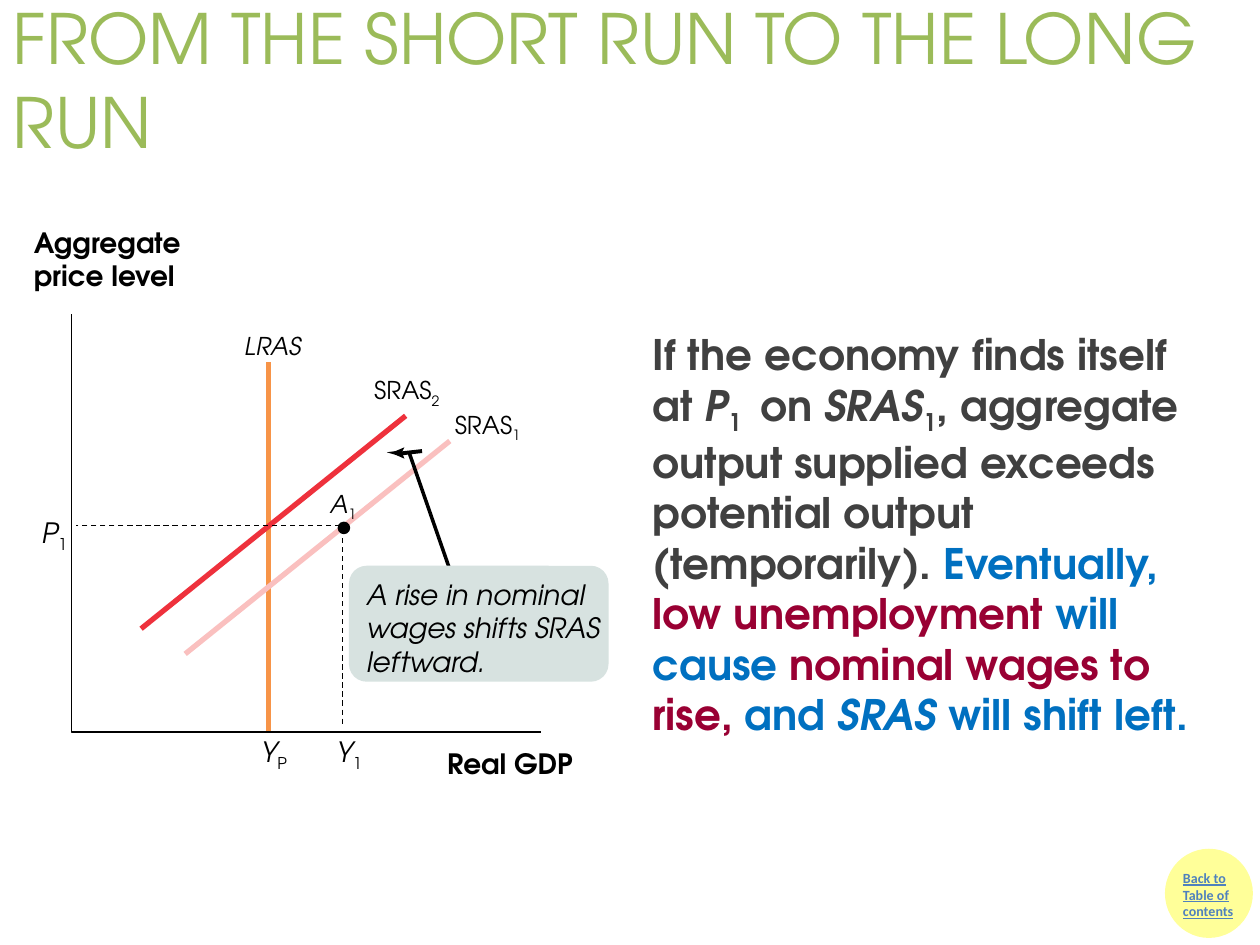
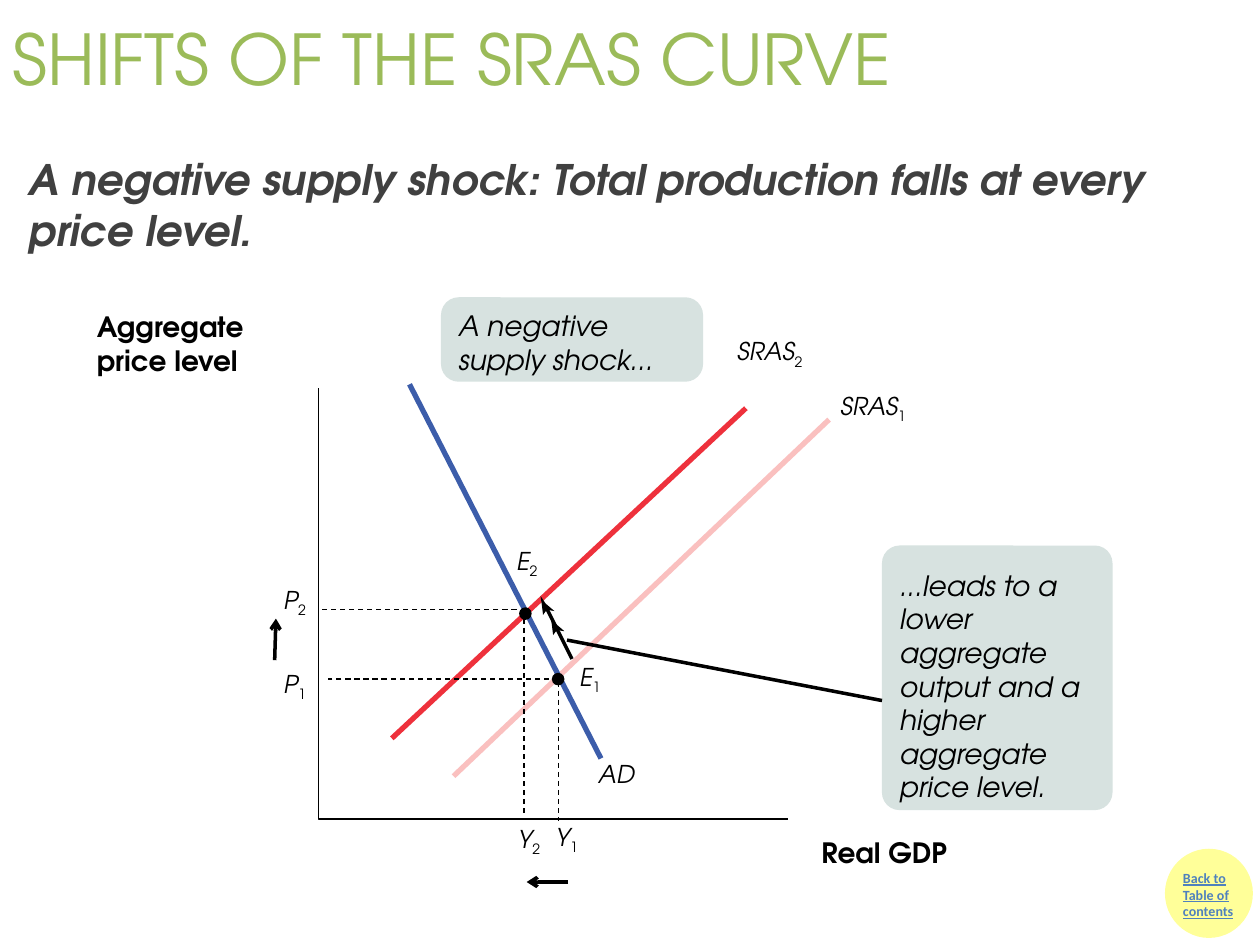
from dataclasses import dataclass

from lxml import etree
from pptx import Presentation
from pptx.dml.color import RGBColor
from pptx.enum.dml import MSO_LINE
from pptx.enum.shapes import MSO_CONNECTOR, MSO_SHAPE
from pptx.enum.text import MSO_ANCHOR, MSO_AUTO_SIZE, PP_ALIGN
from pptx.oxml.ns import qn
from pptx.util import Inches, Pt

DASH = MSO_LINE.DASH
STRAIGHT = MSO_CONNECTOR.STRAIGHT
OVAL, ROUNDED = MSO_SHAPE.OVAL, MSO_SHAPE.ROUNDED_RECTANGLE
TOP, MIDDLE = MSO_ANCHOR.TOP, MSO_ANCHOR.MIDDLE
LEFT = PP_ALIGN.LEFT
NO_AUTOFIT = MSO_AUTO_SIZE.NONE
TITLE_ONLY = 5


@dataclass(frozen=True)
class Theme:
    font: str = "TeX Gyre Adventor"
    button_font: str = "Calibri"
    title: str = "9BBB59"
    body: str = "404040"
    ink: str = "000000"
    blue: str = "0070C0"
    crimson: str = "990033"
    lras: str = "F79448"
    sras_old: str = "FAC0BF"
    sras_new: str = "EE313C"
    demand: str = "3C5DAA"
    callout: str = "D7E2E0"
    button: str = "FFFF99"
    link: str = "4F81BD"
    body_size: float = 24
    note_size: float = 16
    label_size: float = 14
    button_size: float = 8
    hairline: float = 0
    dashed: float = 0.75
    arrow: float = 2.25
    curve: float = 3


T = Theme()


# ---- Text ----
def add_run(p, text, base=0, **formats):
    """Add a run; base is the subscript offset in percent."""
    r = p.add_run()
    r.text = text
    color = formats.pop("color", T.ink)
    for name, value in {"name": T.font, **formats}.items():
        setattr(r.font, name, value)
    r.font.color.rgb = RGBColor.from_string(color)
    if base:
        r.font._element.set("baseline", str(base * 1000))


def fill_text(tf, paragraphs, margins=(0.1, 0.05, 0.1, 0.05), anchor=TOP, **formats):
    """Each paragraph is a list of (text, formats) runs."""
    left, top, right, bottom = map(Inches, margins)
    frame = {"word_wrap": True, "auto_size": NO_AUTOFIT, "vertical_anchor": anchor,
             "margin_left": left, "margin_top": top,
             "margin_right": right, "margin_bottom": bottom}
    for name, value in frame.items():
        setattr(tf, name, value)
    for i, runs in enumerate(paragraphs):
        p = tf.add_paragraph() if i else tf.paragraphs[0]
        p.alignment = LEFT
        for text, extra in runs:
            add_run(p, text, **{**formats, **extra})


def add_text(slide, box, runs, **formats):
    s = slide.shapes.add_textbox(*map(Inches, box))
    fill_text(s.text_frame, [runs], **formats)


# ---- Shapes ----
def paint(s, fill, line=None, width=0):
    s.shadow.inherit = False
    s.fill.solid()
    s.fill.fore_color.rgb = RGBColor.from_string(fill)
    if line:
        s.line.color.rgb = RGBColor.from_string(line)
        s.line.width = Pt(width)
    else:
        s.line.fill.background()


class Graph:
    """A diagram whose parts are placed from the top left of its axes box."""

    def __init__(self, slide, box):
        self.slide = slide
        self.left, self.top, self.width, self.height = box

    def at(self, x, y):
        return Inches(self.left + x), Inches(self.top + y)

    def line(self, start, end, color=T.ink, width=T.hairline, dash=None, head=False):
        s = self.slide.shapes.add_connector(STRAIGHT, *self.at(*start), *self.at(*end))
        s.line.color.rgb = RGBColor.from_string(color)
        s.line.width = Pt(width)
        if dash:
            s.line.dash_style = dash
        if head:
            etree.SubElement(s.line._get_or_add_ln(), qn("a:tailEnd"), type="arrow")
        etree.SubElement(s._element.spPr, qn("a:effectLst"))

    def outline(self, points, close):
        first, *rest = [self.at(*point) for point in points]
        builder = self.slide.shapes.build_freeform(*first)
        builder.add_line_segments(rest, close=close)
        s = builder.convert_to_shape()
        s.shadow.inherit = False
        return s

    def axes(self, price_title, gdp_title):
        s = self.outline([(self.width, self.height), (0, self.height), (0, 0)], False)
        s.fill.background()
        s.line.color.rgb = RGBColor.from_string(T.ink)
        s.line.width = Pt(T.hairline)
        for text, (x, y), w, h in (("Aggregate price level", price_title, 1.8, 0.64),
                                   ("Real GDP", gdp_title, 1.58, 0.37)):
            add_text(self.slide, (self.left + x, self.top + y, w, h), [(text, {})],
                     size=Pt(T.note_size), bold=True)

    def arrowhead(self, points, dx=0, dy=0):
        paint(self.outline([(x + dx, y + dy) for x, y in points], True), T.ink)

    def dot(self, x, y, size=0.1):
        corner = self.at(x - size / 2, y - size / 2)
        paint(self.slide.shapes.add_shape(OVAL, *corner, Inches(size), Inches(size)), T.ink)

    def label(self, text, x, y, w, size=T.label_size, italic=True):
        """An underscore in the text starts the subscript."""
        name, _, sub = text.partition("_")
        runs = [(name, {"italic": italic})]
        if sub:
            runs.append((sub, {"base": -25}))
        add_text(self.slide, (self.left + x, self.top + y, w, size / 60), runs,
                 margins=(0, 0, 0, 0), size=Pt(size))

    def callout(self, lines, x, y, w, h, radius=0.14, top=0.05, right=0.1):
        s = self.slide.shapes.add_shape(ROUNDED, *self.at(x, y), Inches(w), Inches(h))
        s.adjustments[0] = radius / min(w, h)
        paint(s, T.callout)
        fill_text(s.text_frame, [[(line, {})] for line in lines],
                  margins=(0.1, top, right, 0), size=Pt(T.note_size), italic=True)


# ---- Parts shared by the slides ----
def add_contents_button(slide, left, top):
    s = slide.shapes.add_shape(OVAL, *map(Inches, (left, top, 0.67, 0.68)))
    paint(s, T.button, T.button, 2)
    add_text(slide, (left + 0.03, top + 0.1, 0.72, 0.67),
             [("Back to Table of contents", {})], name=T.button_font,
             size=Pt(T.button_size), bold=True, underline=True, color=T.link)


def start_slide(prs, title, title_height, title_size):
    slide = prs.slides.add_slide(prs.slide_layouts[TITLE_ONLY])
    s = slide.shapes.title
    s.left, s.top, s.width, s.height = map(Inches, (0, 0, 10, title_height))
    fill_text(s.text_frame, [[(title, {})]], anchor=MIDDLE,
              size=Pt(title_size), color=T.title)
    add_contents_button(slide, 9.26, 6.75)
    return slide


# ---- Slide 1: wages shift the supply curve ----
def draw_long_run_graph(slide, box):
    g = Graph(slide, box)
    for text, x, y in (("Y_1", 2.1, 3.34), ("Y_P", 1.5, 3.34), ("P_1", -0.24, 1.6)):
        g.label(text, x, y, 0.23, T.note_size)
    g.label("LRAS", 1.37, 0.14, 0.48)
    g.label("SRAS_1", 3.04, 0.76, 0.9, italic=False)
    g.label("SRAS_2", 2.4, 0.49, 0.9, italic=False)

    # Curves and axes
    g.line((1.56, g.height), (1.56, 0.38), T.lras, T.curve)
    g.line((0.9, 2.7), (3, 1.01), T.sras_old, T.curve)
    g.axes((-0.4, -0.75), (2.88, 3.39))
    g.line((0.55, 2.5), (2.65, 0.81), T.sras_new, T.curve)

    # Shift arrow with its callout
    g.line((2.78, 1.09), (2.6, 1.11), width=T.arrow)
    g.arrowhead([(2.62, 1.1), (2.64, 1.06), (2.57, 1.09),
                 (2.5, 1.1), (2.57, 1.12), (2.64, 1.15)])
    g.line((3, 2.03), (2.68, 1.11))
    g.callout(["A rise in nominal", "wages shifts SRAS", "leftward."],
              2.2, 2, 2.06, 0.92, right=0.01)

    # Point A1 and its guides
    g.dot(2.16, 1.7)
    g.line((2.13, 1.68), (0.03, 1.68), width=T.dashed, dash=DASH)
    g.line((2.15, 1.78), (2.15, 3.28), width=T.dashed, dash=DASH)
    g.label("A_1", 2.05, 1.39, 0.33)


def add_explanation(slide, box):
    italic, sub = {"italic": True}, {"base": -25}
    blue, crimson = {"color": T.blue}, {"color": T.crimson}
    add_text(slide, box, [
        ("If the economy finds itself at ", {}), ("P", italic), ("1 ", sub),
        (" on ", {}), ("SRAS", italic), ("1", sub),
        (", aggregate output supplied exceeds potential output (temporarily). ", {}),
        ("Eventually, ", blue), ("low unemployment ", crimson), ("will cause ", blue),
        ("nominal wages to rise,", crimson), (" and ", blue),
        ("SRAS", {**blue, **italic}), (" will shift left.", blue),
    ], size=Pt(T.body_size), bold=True, color=T.body)


def build_long_run_slide(prs):
    slide = start_slide(prs, "FROM THE SHORT RUN TO THE LONG RUN", 1.25, 39.6)
    draw_long_run_graph(slide, (0.57, 2.49, 3.72, 3.32))
    add_explanation(slide, (5.08, 2.56, 4.69, 3.33))


# ---- Slide 2: negative supply shock ----
def draw_supply_shock_graph(slide, box):
    g = Graph(slide, box)

    # Curves and axes
    g.line((1.07, 3.08), (4.05, 0.25), T.sras_old, T.curve)
    g.line((2.24, 2.94), (0.72, -0.03), T.demand, T.curve)
    g.axes((-1.86, -0.67), (3.89, 3.5))
    g.line((0.58, 2.78), (3.39, 0.16), T.sras_new, T.curve)

    # Guides and equilibrium points
    for start, end in (((1.9, 2.33), (1.9, 3.44)), ((1.9, 2.31), (0.07, 2.31)),
                       ((1.63, 1.83), (1.63, 3.4)), ((1.57, 1.76), (0.02, 1.76))):
        g.line(start, end, width=T.dashed, dash=DASH)
    g.dot(1.9, 2.31)
    g.dot(1.64, 1.79)

    # Labels
    for text, x, y, w in (
            ("P_1", -0.28, 2.23, 0.22), ("P_2", -0.28, 1.56, 0.22),
            ("Y_1", 1.88, 3.44, 0.22), ("Y_2", 1.58, 3.46, 0.22),
            ("E_1", 2.07, 2.17, 0.21), ("E_2", 1.57, 1.25, 0.21),
            ("AD", 2.22, 2.94, 0.33),
            ("SRAS_1", 4.14, 0.02, 0.82), ("SRAS_2", 3.32, -0.41, 0.82)):
        g.label(text, x, y, w)

    # Arrows: output falls, price rises, equilibrium moves
    g.line((1.98, 3.92), (1.65, 3.92), head=True)
    g.line((-0.35, 2.16), (-0.34, 1.83), head=True)
    g.line((2.01, 2.15), (1.81, 1.75))
    for dx, dy in ((0, 0), (0.08, 0.16)):
        g.arrowhead([(1.81, 1.76), (1.78, 1.8), (1.77, 1.72),
                     (1.76, 1.65), (1.8, 1.71), (1.87, 1.77)], dx, dy)

    # Callouts
    g.callout(["A negative supply shock..."], 0.97, -0.72, 2.08, 0.67)
    g.callout(["...leads to a lower aggregate output and a higher aggregate price level."],
              4.47, 1.25, 1.83, 2.1, top=0.14, right=0.01)
    g.line((4.47, 2.48), (1.97, 2))


def build_supply_shock_slide(prs):
    slide = start_slide(prs, "SHIFTS OF THE SRAS CURVE", 0.92, 40)
    draw_supply_shock_graph(slide, (2.53, 3.08, 3.72, 3.42))
    add_text(slide, (0.13, 1.17, 9.79, 0.91),
             [("A negative supply shock: Total production falls at every price level.", {})],
             size=Pt(T.body_size), bold=True, italic=True, color=T.body)


def main():
    prs = Presentation()
    prs.slide_width, prs.slide_height = Inches(10), Inches(7.5)
    build_long_run_slide(prs)
    build_supply_shock_slide(prs)
    prs.save("out.pptx")


if __name__ == "__main__":
    main()
